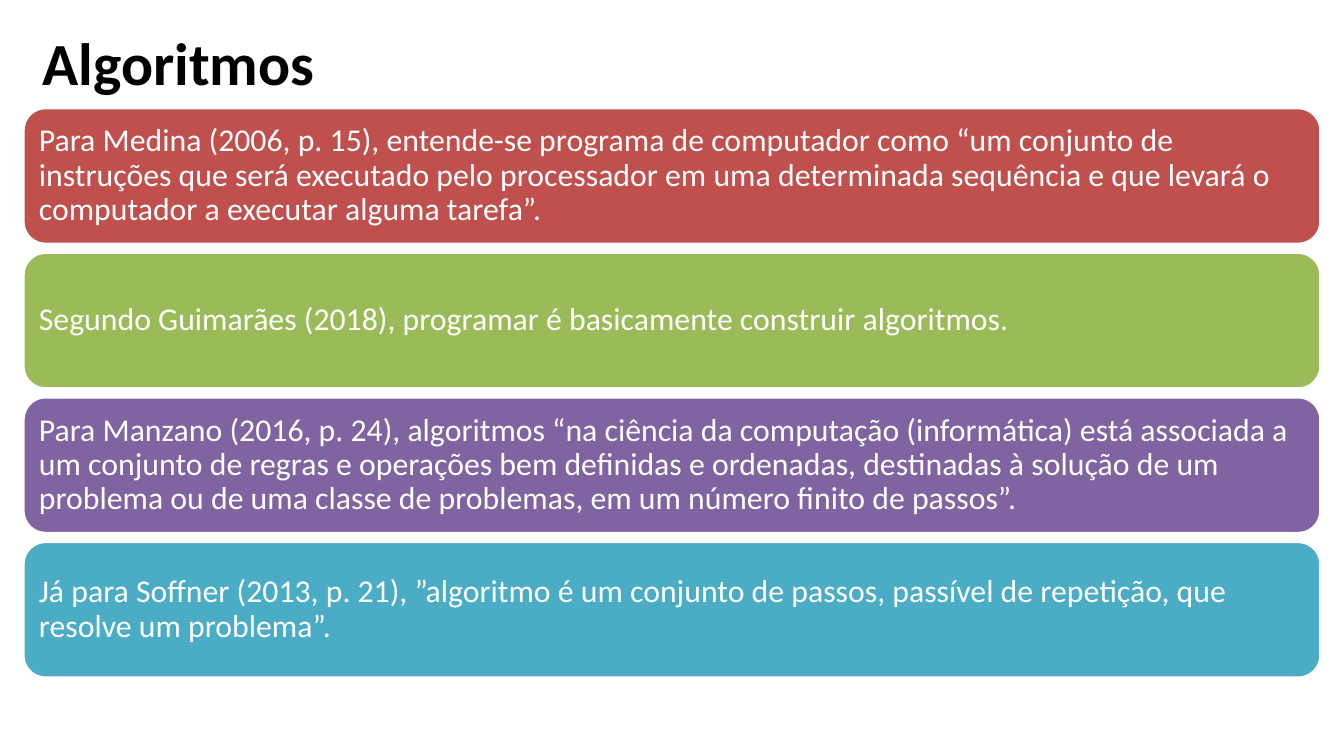
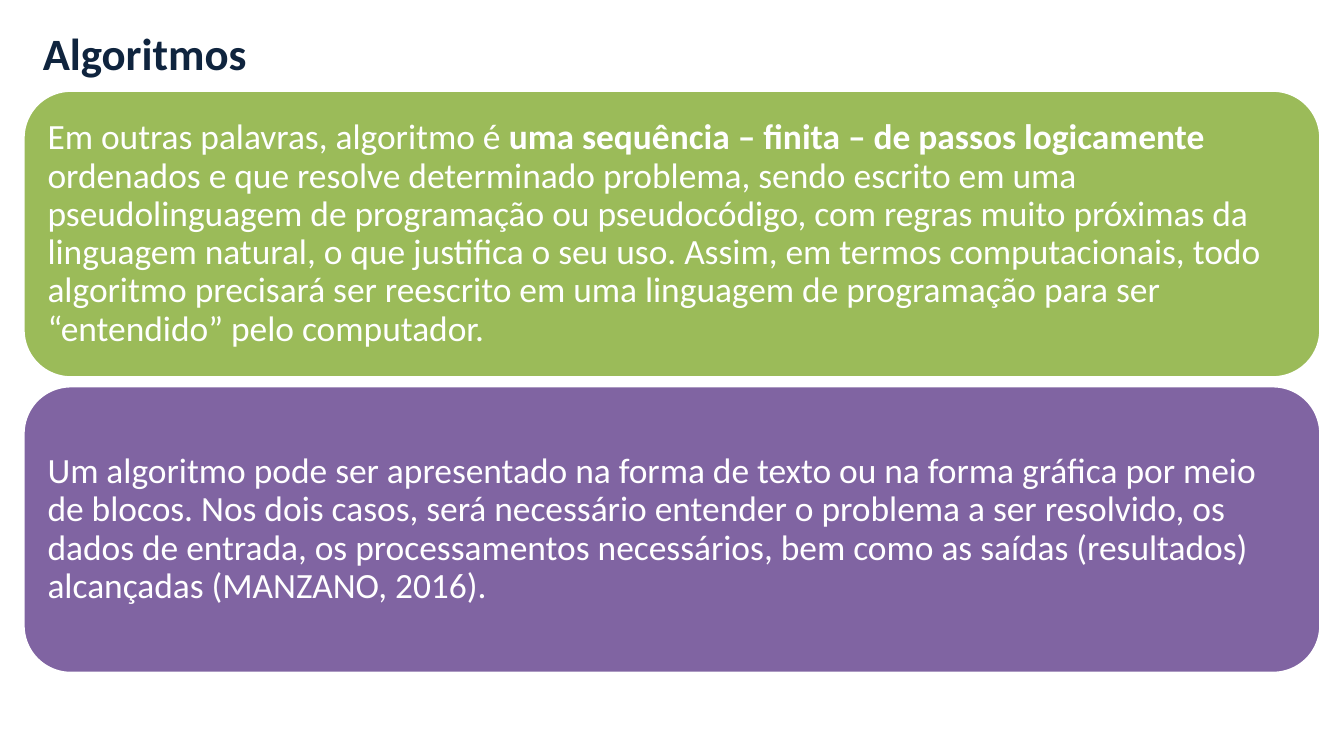
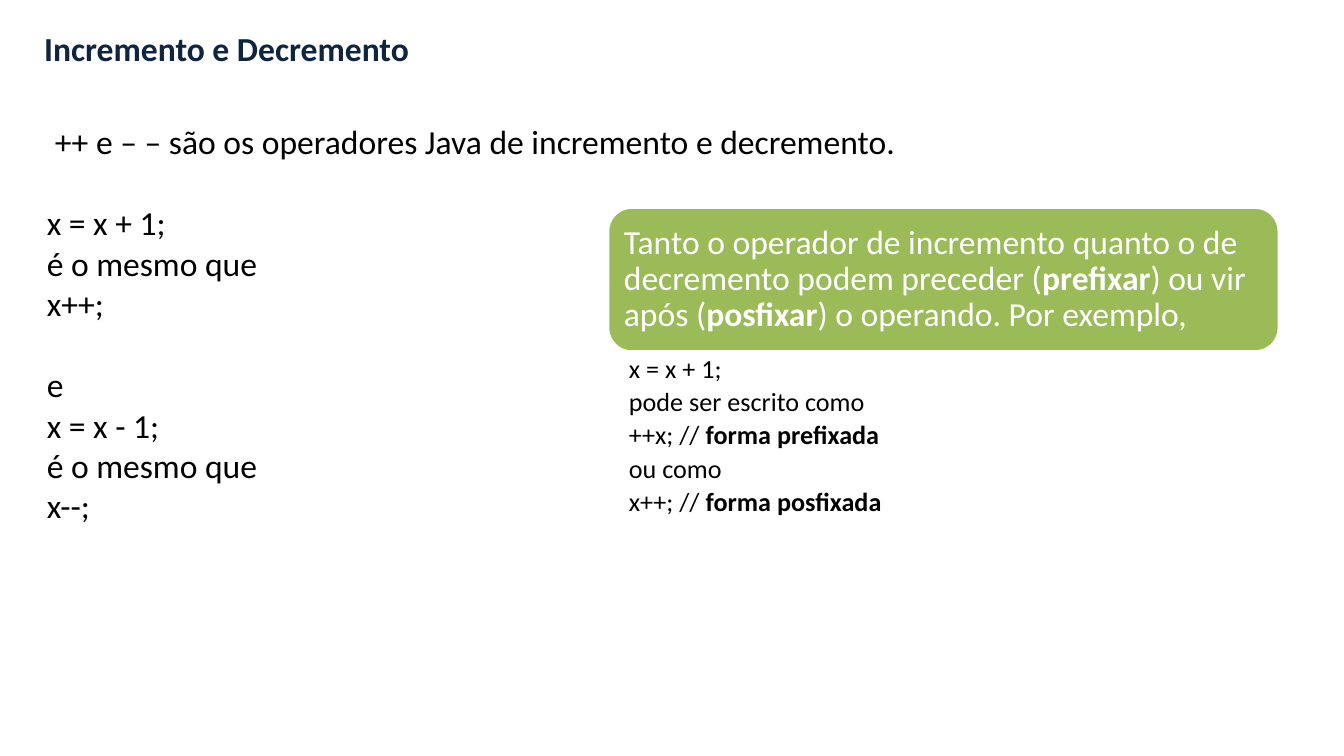
from dataclasses import dataclass

from pptx import Presentation
from pptx.dml.color import RGBColor
from pptx.enum.shapes import MSO_SHAPE
from pptx.enum.text import MSO_ANCHOR, MSO_AUTO_SIZE, PP_ALIGN
from pptx.slide import Slide
from pptx.text.text import TextFrame, _Paragraph
from pptx.util import Inches, Length, Pt

SLIDE_WIDTH = Inches(10)
SLIDE_HEIGHT = Inches(10 * 9 / 16)
FONT = "Calibri"
BOLD_MARK = "**"
CARD_GAP = 1.0
CARD_LINE_SPACING = 0.9

BLACK = RGBColor(0x00, 0x00, 0x00)
WHITE = RGBColor(0xFF, 0xFF, 0xFF)
NAVY = RGBColor(0x0F, 0x24, 0x3E)
RED = RGBColor(0xC0, 0x50, 0x4D)
GREEN = RGBColor(0x9B, 0xBB, 0x59)
PURPLE = RGBColor(0x80, 0x64, 0xA2)
BLUE = RGBColor(0x4B, 0xAC, 0xC6)


@dataclass(frozen=True)
class Area:
    """A rectangle in percent of the slide's width and height."""

    left: float
    top: float
    width: float
    height: float

    def lengths(self) -> tuple[Length, Length, Length, Length]:
        return (
            Length(SLIDE_WIDTH * self.left / 100),
            Length(SLIDE_HEIGHT * self.top / 100),
            Length(SLIDE_WIDTH * self.width / 100),
            Length(SLIDE_HEIGHT * self.height / 100),
        )


@dataclass(frozen=True)
class TextStyle:
    size: float
    color: RGBColor
    bold: bool = False


@dataclass(frozen=True)
class Card:
    text: str
    fill: RGBColor


DEFINITIONS = [
    Card(
        "Para Medina (2006, p. 15), entende-se programa de computador como “um conjunto de "
        "instruções que será executado pelo processador em uma determinada sequência e que "
        "levará o computador a executar alguma tarefa”.",
        RED,
    ),
    Card("Segundo Guimarães (2018), programar é basicamente construir algoritmos.", GREEN),
    Card(
        "Para Manzano (2016, p. 24), algoritmos “na ciência da computação (informática) está "
        "associada a um conjunto de regras e operações bem definidas e ordenadas, destinadas à "
        "solução de um problema ou de uma classe de problemas, em um número finito de passos”.",
        PURPLE,
    ),
    Card(
        "Já para Soffner (2013, p. 21), ”algoritmo é um conjunto de passos, passível de "
        "repetição, que resolve um problema”.",
        BLUE,
    ),
]

EXPLANATIONS = [
    Card(
        "Em outras palavras, algoritmo é **uma sequência – finita – de passos logicamente "
        "**ordenados e que resolve determinado problema, sendo escrito em uma pseudolinguagem "
        "de programação ou pseudocódigo, com regras muito próximas da linguagem natural, o que "
        "justifica o seu uso. Assim, em termos computacionais, todo algoritmo precisará ser "
        "reescrito em uma linguagem de programação para ser “entendido” pelo computador.",
        GREEN,
    ),
    Card(
        "Um algoritmo pode ser apresentado na forma de texto ou na forma gráfica por meio de "
        "blocos. Nos dois casos, será necessário entender o problema a ser resolvido, os dados "
        "de entrada, os processamentos necessários, bem como as saídas (resultados) alcançadas "
        "(MANZANO, 2016).",
        PURPLE,
    ),
]

OPERATOR_CARD = Card(
    "Tanto o operador de incremento quanto o de decremento podem preceder (**prefixar**) ou "
    "vir após (**posfixar**) o operando. Por exemplo,",
    GREEN,
)

OPERATOR_GROUPS = [
    ["++ e – – são os operadores Java de incremento e decremento."],
    ["x = x + 1;", "é o mesmo que", "x++;"],
    ["e", "x = x - 1;", "é o mesmo que", "x--;"],
]

NOTATION_LINES = [
    "x = x + 1;",
    "pode ser escrito como",
    "++x; // **forma prefixada**",
    "ou como",
    "x++; // **forma posfixada**",
]


def write_paragraph(para: _Paragraph, text: str, style: TextStyle) -> None:
    """Write text whose parts between bold marks are bold."""
    para.alignment = PP_ALIGN.LEFT
    for index, part in enumerate(text.split(BOLD_MARK)):
        if not part:
            continue
        span = para.add_run()
        span.text = part
        span.font.name = FONT
        span.font.size = Pt(style.size)
        span.font.bold = style.bold or index % 2 == 1
        span.font.color.rgb = style.color


def write_lines(frame: TextFrame, lines: list[str], style: TextStyle) -> list[_Paragraph]:
    paras = [frame.paragraphs[0]] + [frame.add_paragraph() for _ in lines[1:]]
    for para, line in zip(paras, lines):
        write_paragraph(para, line, style)
    return paras


def set_insets(frame: TextFrame, left: float, top: float, right: float, bottom: float) -> None:
    frame.margin_left, frame.margin_top = Inches(left), Inches(top)
    frame.margin_right, frame.margin_bottom = Inches(right), Inches(bottom)


def add_text_frame(page: Slide, area: Area, grows: bool = True) -> TextFrame:
    frame = page.shapes.add_textbox(*area.lengths()).text_frame
    frame.word_wrap = True
    frame.auto_size = MSO_AUTO_SIZE.SHAPE_TO_FIT_TEXT if grows else MSO_AUTO_SIZE.NONE
    return frame


def add_title(page: Slide, text: str, area: Area, size: float, color: RGBColor = NAVY) -> None:
    write_lines(add_text_frame(page, area), [text], TextStyle(size, color, bold=True))


def add_card(page: Slide, card: Card, area: Area, size: float, inset: float = 0.07) -> None:
    box = page.shapes.add_shape(MSO_SHAPE.ROUNDED_RECTANGLE, *area.lengths())
    box.shadow.inherit = False
    box.fill.solid()
    box.fill.fore_color.rgb = card.fill
    box.line.color.rgb = WHITE
    box.line.width = Pt(2)
    frame = box.text_frame
    frame.word_wrap = True
    frame.vertical_anchor = MSO_ANCHOR.MIDDLE
    set_insets(frame, inset, inset, inset, inset)
    for para in write_lines(frame, [card.text], TextStyle(size, WHITE)):
        para.line_spacing = CARD_LINE_SPACING


def add_card_stack(
    page: Slide, cards: list[Card], first: Area, size: float, inset: float
) -> None:
    """Stack equal cards downwards from the first area."""
    for row, card in enumerate(cards):
        top = first.top + row * (first.height + CARD_GAP)
        add_card(page, card, Area(first.left, top, first.width, first.height), size, inset)


def add_operator_text(page: Slide) -> None:
    size = 18
    frame = add_text_frame(page, Area(2.5, 15.11, 93.3, 61))
    lines = [line for group in OPERATOR_GROUPS for line in group]
    paras = write_lines(frame, lines, TextStyle(size, BLACK))
    paras[0]._p.get_or_add_pPr().set("indent", str(Inches(0.06)))
    group_start = 0
    for group in OPERATOR_GROUPS[:-1]:
        group_start += len(group)
        paras[group_start].space_before = Pt(size * 1.22)


def add_notation_text(page: Slide) -> None:
    frame = add_text_frame(page, Area(45.2, 46.58, 50, 23.82), grows=False)
    set_insets(frame, 0.16, 0.03, 0.14, 0.03)
    for para in write_lines(frame, NOTATION_LINES, TextStyle(14, BLACK)):
        para.line_spacing = CARD_LINE_SPACING
        para.space_after = Pt(2.6)


def main() -> None:
    deck = Presentation()
    deck.slide_width, deck.slide_height = SLIDE_WIDTH, SLIDE_HEIGHT
    blank = deck.slide_layouts[6]

    definitions = deck.slides.add_slide(blank)
    add_title(definitions, "Algoritmos", Area(2.2, 2.49, 37.4, 11.38), 32, BLACK)
    add_card_stack(definitions, DEFINITIONS, Area(1.7, 14.22, 96.6, 18.13), 17, 0.07)

    explanations = deck.slides.add_slide(blank)
    add_title(explanations, "Algoritmos", Area(2.2, 2.49, 37.4, 8.89), 24)
    add_card_stack(explanations, EXPLANATIONS, Area(1.7, 11.91, 96.6, 38.1), 19, 0.08)

    operators = deck.slides.add_slide(blank)
    add_title(operators, "Incremento e Decremento", Area(2.3, 2.84, 70.1, 7.11), 18)
    add_operator_text(operators)
    add_card(operators, OPERATOR_CARD, Area(45.2, 27.38, 50, 19.2), 18)
    add_notation_text(operators)

    deck.save("out.pptx")


if __name__ == "__main__":
    main()
